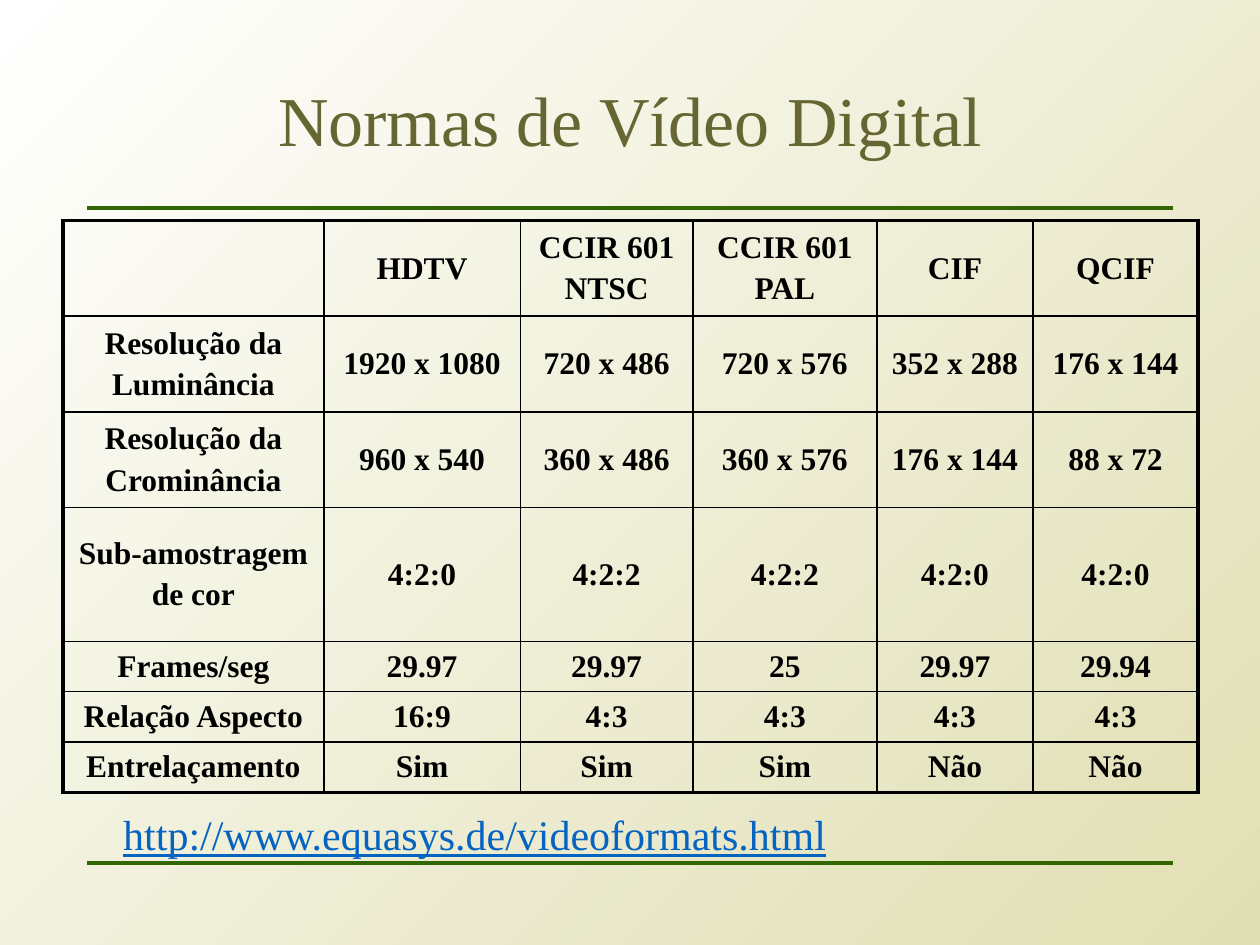
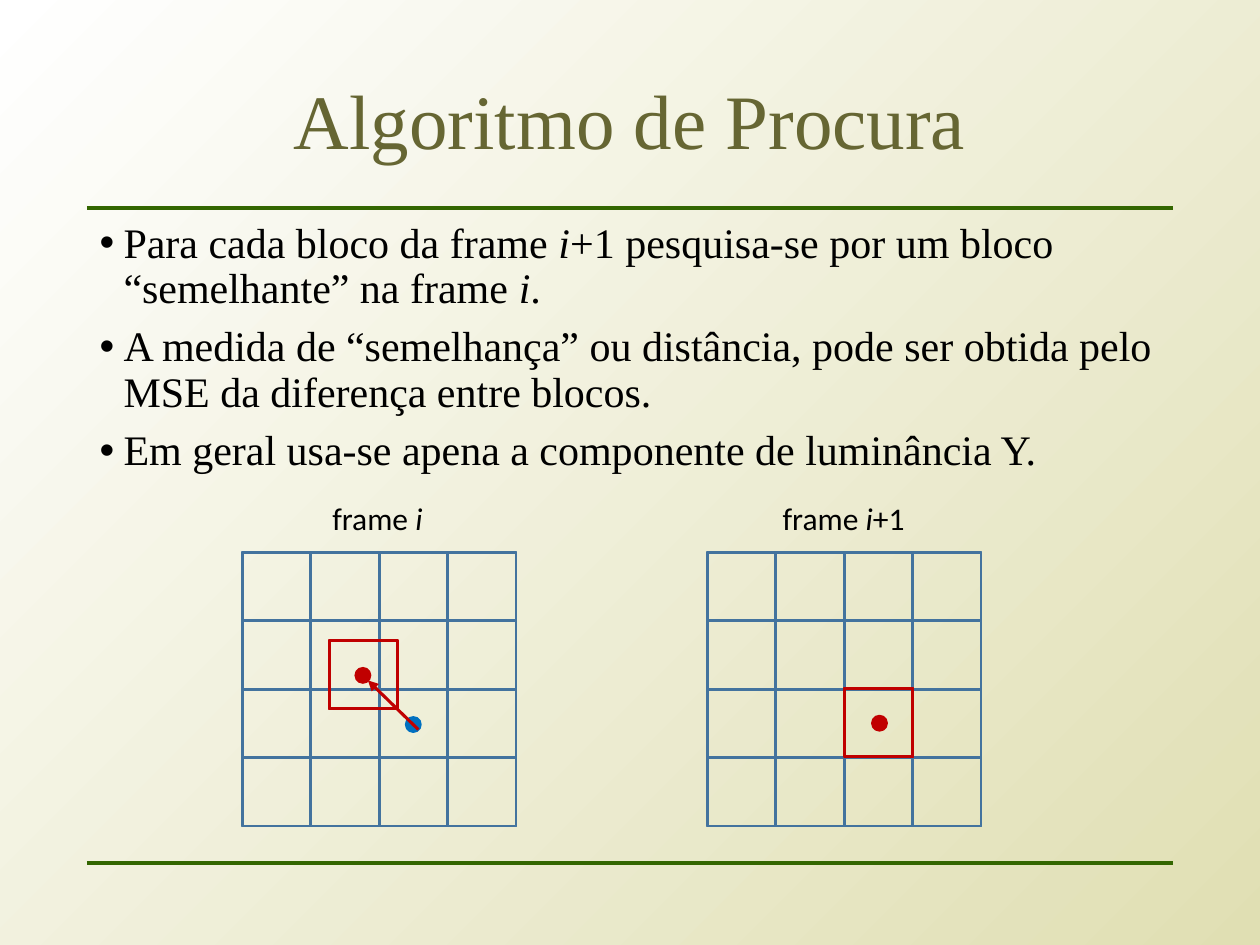
from dataclasses import dataclass

from lxml.etree import SubElement
from pptx import Presentation
from pptx.dml.color import RGBColor
from pptx.enum.shapes import MSO_CONNECTOR, MSO_SHAPE
from pptx.enum.text import MSO_ANCHOR, MSO_AUTO_SIZE, PP_ALIGN
from pptx.oxml.ns import qn
from pptx.util import Inches, Pt


@dataclass(frozen=True)
class Theme:
    serif: str = "Times New Roman"
    sans: str = "Calibri"
    black: str = "000000"
    title: str = "666633"
    rule: str = "336600"
    link: str = "0563C1"
    paper_start: str = "FFFFFF"
    paper_end: str = "E0DFB3"
    block_fill: str = "5B9BD5"
    block_line: str = "43739E"
    match: str = "C00000"
    origin: str = "0070C0"
    title_size: float = 44
    long_title_size: float = 40
    body_size: float = 24
    small_size: float = 18
    thin: float = 1
    thick: float = 2.25


THEME = Theme()
MARGIN, CONTENT_WIDTH = 0.69, 8.62
RULE_TOPS = (1.65, 6.85)

# Frame grids
GRID_TOP, GRID_SIDE, BLOCK, BLOCKS = 4.38, 2.18, 0.55, 4
PITCH = (GRID_SIDE - BLOCK) / (BLOCKS - 1)
DOT = 0.12

# Table of video standards; a line break starts a new paragraph
COLUMN_WIDTHS = (2.07, 1.56, 1.37, 1.46, 1.24, 1.31)
ROW_HEIGHTS = (0.76, 0.76, 0.76, 1.06, 0.4, 0.4, 0.4)
STANDARDS = (
    ("", "HDTV", "CCIR 601\nNTSC", "CCIR 601\nPAL", "CIF", "QCIF"),
    ("Resolução da\nLuminância", "1920 x 1080", "720 x 486", "720 x 576",
     "352 x 288", "176 x 144"),
    ("Resolução da\nCrominância", "960 x 540", "360 x 486", "360 x 576",
     "176 x 144", "88 x 72"),
    ("Sub-amostragem\nde cor", "4:2:0", "4:2:2", "4:2:2", "4:2:0", "4:2:0"),
    ("Frames/seg", "29.97", "29.97", "25", "29.97", "29.94"),
    ("Relação Aspecto", "16:9", "4:3", "4:3", "4:3", "4:3"),
    ("Entrelaçamento", "Sim", "Sim", "Sim", "Não", "Não"),
)

# Asterisks enclose italic spans
SEARCH_POINTS = (
    "Para cada bloco da frame *i*+1 pesquisa-se por um bloco "
    "“semelhante” na frame *i*.\n"
    "A medida de “semelhança” ou distância, pode ser obtida pelo "
    "MSE da diferença entre blocos.\n"
    "Em geral usa-se apena a componente de luminância Y."
)


def rgb(value):
    return RGBColor.from_string(value)


def place(shape, left, top, width, height):
    shape.left, shape.top = Inches(left), Inches(top)
    shape.width, shape.height = Inches(width), Inches(height)


def add_bullet(para, indent):
    properties = para._p.get_or_add_pPr()
    properties.set("marL", str(Inches(indent)))
    properties.set("indent", str(-Inches(indent)))
    SubElement(properties, qn("a:buFont"), typeface="Arial")
    SubElement(properties, qn("a:buChar"), char="•")


def write_text(frame, text, *, size, font=THEME.serif, color=THEME.black,
               bold=False, underline=False, align=PP_ALIGN.LEFT,
               line_spacing=1.0, space_before=0, bullet_indent=None):
    """Fill a text frame, one paragraph per line."""
    for index, line in enumerate(text.split("\n")):
        para = frame.add_paragraph() if index else frame.paragraphs[0]
        if bullet_indent:
            add_bullet(para, bullet_indent)
        para.alignment = align
        para.line_spacing = line_spacing
        para.space_before = Pt(space_before if index else 0)
        for part, content in enumerate(line.split("*")):
            if not content:
                continue
            span = para.add_run()
            span.text = content
            span.font.name = font
            span.font.size = Pt(size)
            span.font.color.rgb = rgb(color)
            span.font.bold = bold
            span.font.underline = underline
            span.font.italic = part % 2 == 1


def add_label(page, text, left, top, width, height, **text_format):
    box = page.shapes.add_textbox(
        Inches(left), Inches(top), Inches(width), Inches(height))
    box.text_frame.word_wrap = True
    write_text(box.text_frame, text, **text_format)


def add_line(page, start, end, color, width, arrow=False):
    line = page.shapes.add_connector(
        MSO_CONNECTOR.STRAIGHT, *(Inches(value) for value in (*start, *end)))
    line.line.color.rgb = rgb(color)
    line.line.width = Pt(width)
    if arrow:
        SubElement(line.line._get_or_add_ln(), qn("a:tailEnd"), type="triangle")
    SubElement(line._element.spPr, qn("a:effectLst"))


def add_figure(shapes, kind, left, top, side, fill, outline):
    figure = shapes.add_shape(
        kind, Inches(left), Inches(top), Inches(side), Inches(side))
    figure.shadow.inherit = False
    figure.fill.solid()
    figure.fill.fore_color.rgb = rgb(fill)
    figure.line.color.rgb = rgb(outline)
    figure.line.width = Pt(THEME.thin)
    return figure


def add_block(shapes, left, top, outline=THEME.block_line):
    block = add_figure(shapes, MSO_SHAPE.FRAME, left, top, BLOCK,
                       THEME.block_fill, outline)
    block.adjustments[0] = 0.016


def add_dot(page, left, top, color):
    add_figure(page.shapes, MSO_SHAPE.OVAL, left, top, DOT, color, color)


def add_frame_grid(page, left):
    grid = page.shapes.add_group_shape()
    for row in range(BLOCKS):
        for column in range(BLOCKS):
            add_block(grid.shapes, left + column * PITCH, GRID_TOP + row * PITCH)


def set_borders(cell, widths):
    properties = cell._tc.get_or_add_tcPr()
    for side, width in widths.items():
        border = SubElement(properties, qn(f"a:ln{side}"), w=str(Pt(width)))
        fill = SubElement(border, qn("a:solidFill"))
        SubElement(fill, qn("a:srgbClr"), val=THEME.black)


def add_standards_table(page):
    rows, columns = len(ROW_HEIGHTS), len(COLUMN_WIDTHS)
    table = page.shapes.add_table(
        rows, columns, Inches(0.5), Inches(1.75),
        Inches(sum(COLUMN_WIDTHS)), Inches(sum(ROW_HEIGHTS))).table
    table.first_row = table.horz_banding = False
    for column, width in zip(table.columns, COLUMN_WIDTHS):
        column.width = Inches(width)
    for row, height in zip(table.rows, ROW_HEIGHTS):
        row.height = Inches(height)
    for r, values in enumerate(STANDARDS):
        for c, value in enumerate(values):
            cell = table.cell(r, c)
            outer = {"L": c == 0, "R": c == columns - 1,
                     "T": r == 0, "B": r == rows - 1}
            set_borders(cell, {side: THEME.thick if edge else THEME.thin
                               for side, edge in outer.items()})
            cell.fill.background()
            cell.vertical_anchor = MSO_ANCHOR.MIDDLE
            write_text(cell.text_frame, value, size=THEME.small_size, bold=True,
                       align=PP_ALIGN.CENTER, space_before=3.6)


def set_background(deck):
    fill = deck.slide_master.background.fill
    fill.gradient()
    fill.gradient_angle = 315
    for stop, color in zip(fill.gradient_stops,
                           (THEME.paper_start, THEME.paper_end)):
        stop.color.rgb = rgb(color)


def add_page(deck, layout, title, title_size=THEME.title_size):
    """Add a slide with the shared rules and title style."""
    page = deck.slides.add_slide(deck.slide_layouts.get_by_name(layout))
    for top in RULE_TOPS:
        add_line(page, (MARGIN, top), (MARGIN + CONTENT_WIDTH, top),
                 THEME.rule, 2)
    heading = page.shapes.title
    place(heading, MARGIN, 0.4, CONTENT_WIDTH, 1.17)
    heading.text_frame.auto_size = MSO_AUTO_SIZE.NONE
    heading.text_frame.vertical_anchor = MSO_ANCHOR.MIDDLE
    write_text(heading.text_frame, title, size=title_size, color=THEME.title,
               align=PP_ALIGN.CENTER, line_spacing=0.9)
    return page


def add_standards_page(deck):
    page = add_page(deck, "Title Only", "Normas de Vídeo Digital",
                    THEME.long_title_size)
    add_standards_table(page)
    add_label(page, "http://www.equasys.de/videoformats.html",
              0.88, 6.37, 5.8, 0.5, size=THEME.body_size,
              color=THEME.link, underline=True)


def add_search_page(deck):
    page = add_page(deck, "Title and Content", "Algoritmo de Procura")
    body = page.placeholders[1]
    place(body, MARGIN, 1.71, CONTENT_WIDTH, 5.05)
    body.text_frame.auto_size = MSO_AUTO_SIZE.NONE
    write_text(body.text_frame, SEARCH_POINTS, size=THEME.body_size,
               line_spacing=0.9, space_before=7.5, bullet_indent=0.19)

    # Block grids of the two frames
    for left in (1.92, 5.61):
        add_frame_grid(page, left)

    # Current block, its best match and the motion vector
    add_block(page.shapes, 6.7, 5.46, THEME.match)
    add_block(page.shapes, 2.61, 5.08, THEME.match)
    add_dot(page, 6.92, 5.68, THEME.match)
    add_dot(page, 3.22, 5.69, THEME.origin)
    add_dot(page, 2.82, 5.3, THEME.match)
    add_line(page, (3.32, 5.79), (2.92, 5.4), THEME.match, 1.75, arrow=True)

    # Frame names
    for text, left in (("frame *i*", 2.12), ("frame *i*+1", 5.82)):
        add_label(page, text, left, 3.91, 1.75, 0.4, size=THEME.small_size,
                  font=THEME.sans, align=PP_ALIGN.CENTER)


def main():
    deck = Presentation()
    deck.slide_width, deck.slide_height = Inches(10), Inches(7.5)
    set_background(deck)
    add_standards_page(deck)
    add_search_page(deck)
    deck.save("out.pptx")


if __name__ == "__main__":
    main()
